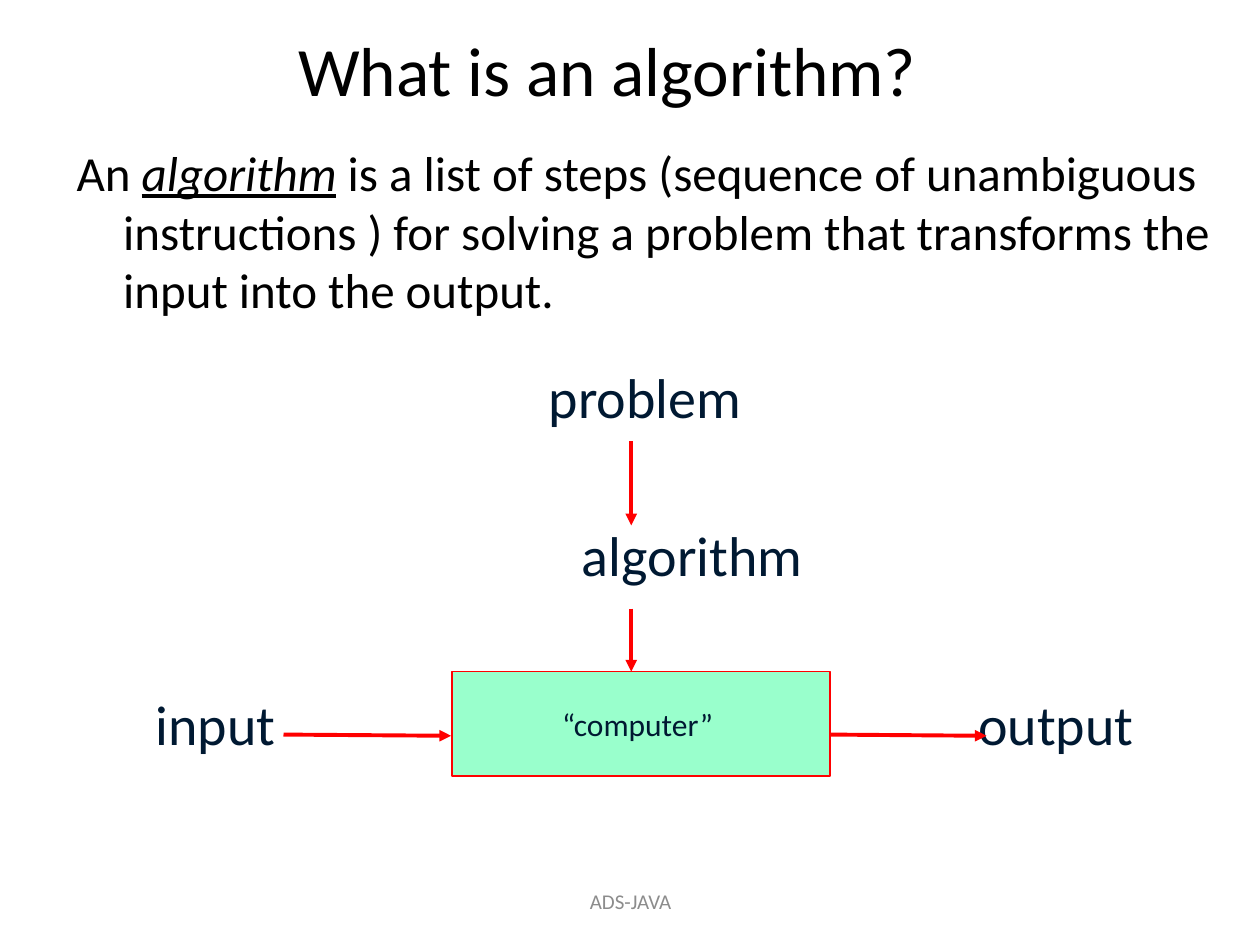
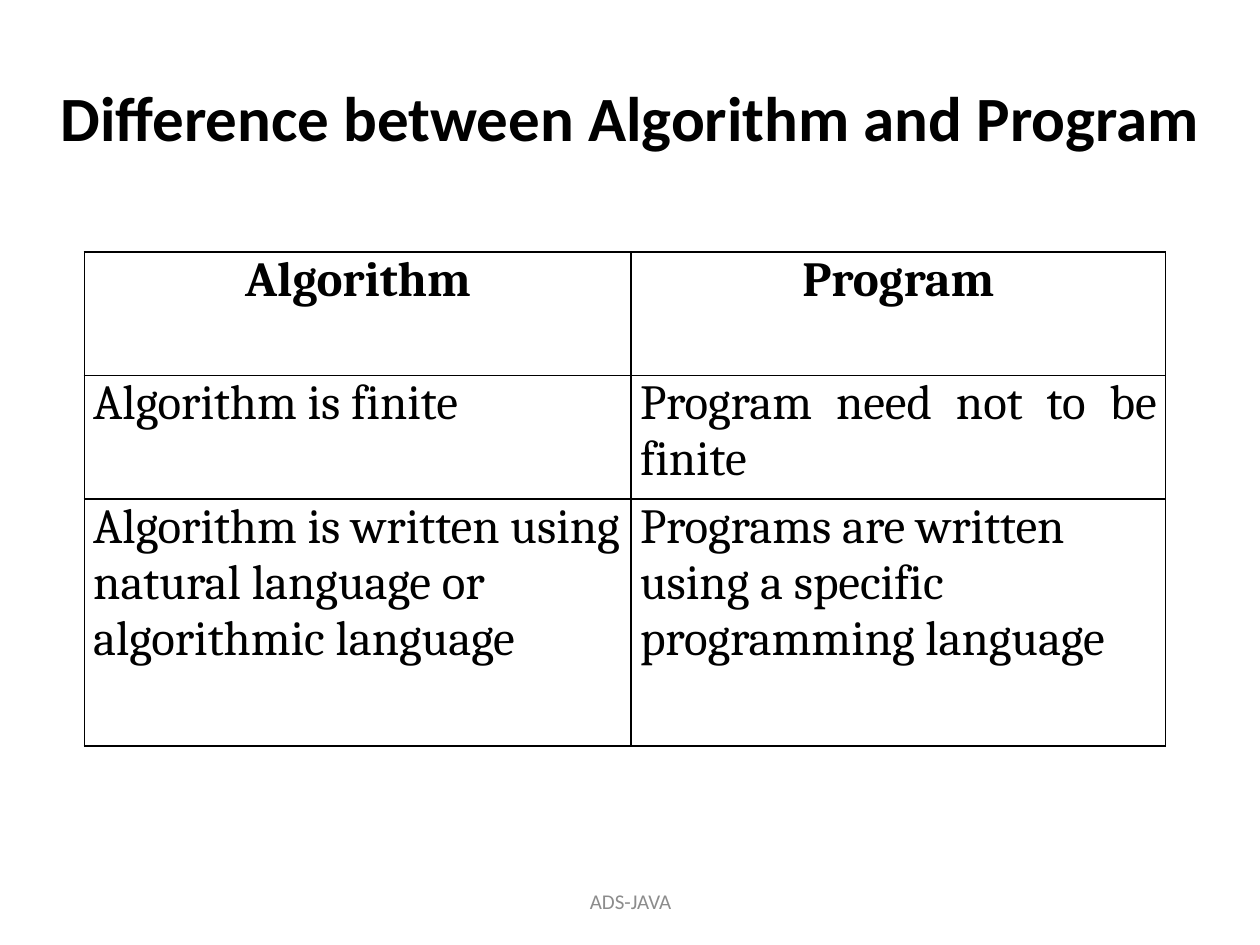
from lxml import etree
from pptx import Presentation
from pptx.dml.color import RGBColor as RGB
from pptx.enum.shapes import MSO_CONNECTOR as Link, MSO_SHAPE as Kind
from pptx.enum.text import MSO_ANCHOR as Anchor, MSO_AUTO_SIZE as Fit, PP_ALIGN as Align
from pptx.oxml.ns import qn
from pptx.util import Inches, Pt

HUES = {"black": "000000", "navy": "001932", "red": "FF0000",
        "mint": "99FFCC", "gray": "8C8C8C"}


def hue(name):
    return RGB.from_string(HUES[name])


def write(frame, runs, size, color, align=Align.CENTER, font="Calibri", bold=False):
    frame.word_wrap = True
    para = frame.paragraphs[0]
    para.alignment = align
    for text, mark in runs:
        run = para.add_run()
        run.text = text
        run.font.name = font
        run.font.size = Pt(size)
        run.font.bold = bold
        run.font.italic = run.font.underline = mark
        run.font.color.rgb = hue(color)
    return para


deck = Presentation()
deck.slide_width, deck.slide_height = Inches(10), Inches(7.5)

titles = [
    ("What is an algorithm?", (0.67, 0.17, 8.3, 0.75), 39.6, False),
    ("Difference between Algorithm and Program", (0, 0.3, 10, 1.25), 36, True),
]
for text, spot, size, bold in titles:
    slide = deck.slides.add_slide(deck.slide_layouts[5])
    title = slide.shapes.title
    title.left, title.top, title.width, title.height = map(Inches, spot)
    frame = title.text_frame
    frame.auto_size = Fit.NONE
    frame.vertical_anchor = Anchor.MIDDLE
    write(frame, [(text, False)], size, "black", bold=bold)
    foot = slide.shapes.add_textbox(*map(Inches, (3.42, 6.95, 3.17, 0.4)))
    foot.text_frame.vertical_anchor = Anchor.MIDDLE
    write(foot.text_frame, [("ADS-JAVA", False)], 12, "gray")

flow, versus = (slide.shapes for slide in deck.slides)

body = flow.add_textbox(*map(Inches, (0.5, 1.08, 9.5, 1.6)))
para = write(body.text_frame, [
    ("An ", False),
    ("algorithm", True),
    (" is a list of steps (sequence of unambiguous instructions ) for solving "
     "a problem that transforms the input into the output.", False),
], 28, "black", Align.LEFT)
para.space_before = Pt(7)
props = para._p.get_or_add_pPr()
props.set("marL", str(Inches(0.38)))
props.set("indent", str(Inches(-0.37)))

box = flow.add_shape(Kind.RECTANGLE, *map(Inches, (3.59, 5.33, 3, 0.83)))
box.shadow.inherit = False
box.fill.solid()
box.fill.fore_color.rgb = hue("mint")
box.line.color.rgb = hue("red")
box.line.width = Pt(1)
box.text_frame.vertical_anchor = Anchor.MIDDLE
write(box.text_frame, [("“computer” ", False)], 18, "navy")
box.text_frame.word_wrap = False

labels = [
    ("problem", 4.17, 2.83, 1.9),
    ("algorithm", 4.16, 4.08, 2.67),
    ("input", 0.82, 5.42, 1.78),
    ("output", 7.49, 5.42, 1.78),
]
for text, left, top, width in labels:
    label = flow.add_textbox(*map(Inches, (left, top, width, 0.64)))
    write(label.text_frame, [(text, False)], 32, "navy")

arrows = [
    (5.01, 3.5, 5.01, 4.17),
    (5.01, 4.83, 5.01, 5.33),
    (2.25, 5.83, 3.58, 5.84),
    (6.58, 5.83, 7.83, 5.84),
]
for ends in arrows:
    arrow = flow.add_connector(Link.STRAIGHT, *map(Inches, ends))
    arrow.line.color.rgb = hue("red")
    arrow.line.width = Pt(2.25)
    etree.SubElement(arrow.line._get_or_add_ln(), qn("a:tailEnd"), type="triangle")
    etree.SubElement(arrow._element.spPr, qn("a:effectLst"))

rows = [
    (0.98, Align.CENTER, ("Algorithm", "Program")),
    (0.98, Align.JUSTIFY, ("Algorithm is finite", "Program need not to be finite")),
    (1.96, Align.LEFT, (
        "Algorithm is written using natural language or algorithmic language",
        "Programs are written using a specific programming language")),
]
grid = versus.add_table(3, 2, *map(Inches, (0.67, 2, 8.58, 3.92))).table
grid.horz_banding = False
for col, width in zip(grid.columns, (4.34, 4.24)):
    col.width = Inches(width)
for r, (height, align, texts) in enumerate(rows):
    grid.rows[r].height = Inches(height)
    for c, text in enumerate(texts):
        cell = grid.cell(r, c)
        cell.margin_left = cell.margin_right = Inches(0.07)
        cell.margin_top = cell.margin_bottom = 0
        write(cell.text_frame, [(text, False)], 28, "black", align, "Cambria", r == 0)
        props = cell._tc.get_or_add_tcPr()
        for side in ("lnL", "lnR", "lnT", "lnB"):
            edge = etree.SubElement(props, qn("a:" + side), w=str(Pt(1)))
            fill = etree.SubElement(edge, qn("a:solidFill"))
            etree.SubElement(fill, qn("a:srgbClr"), val=HUES["black"])
        cell.fill.background()

deck.save("out.pptx")
